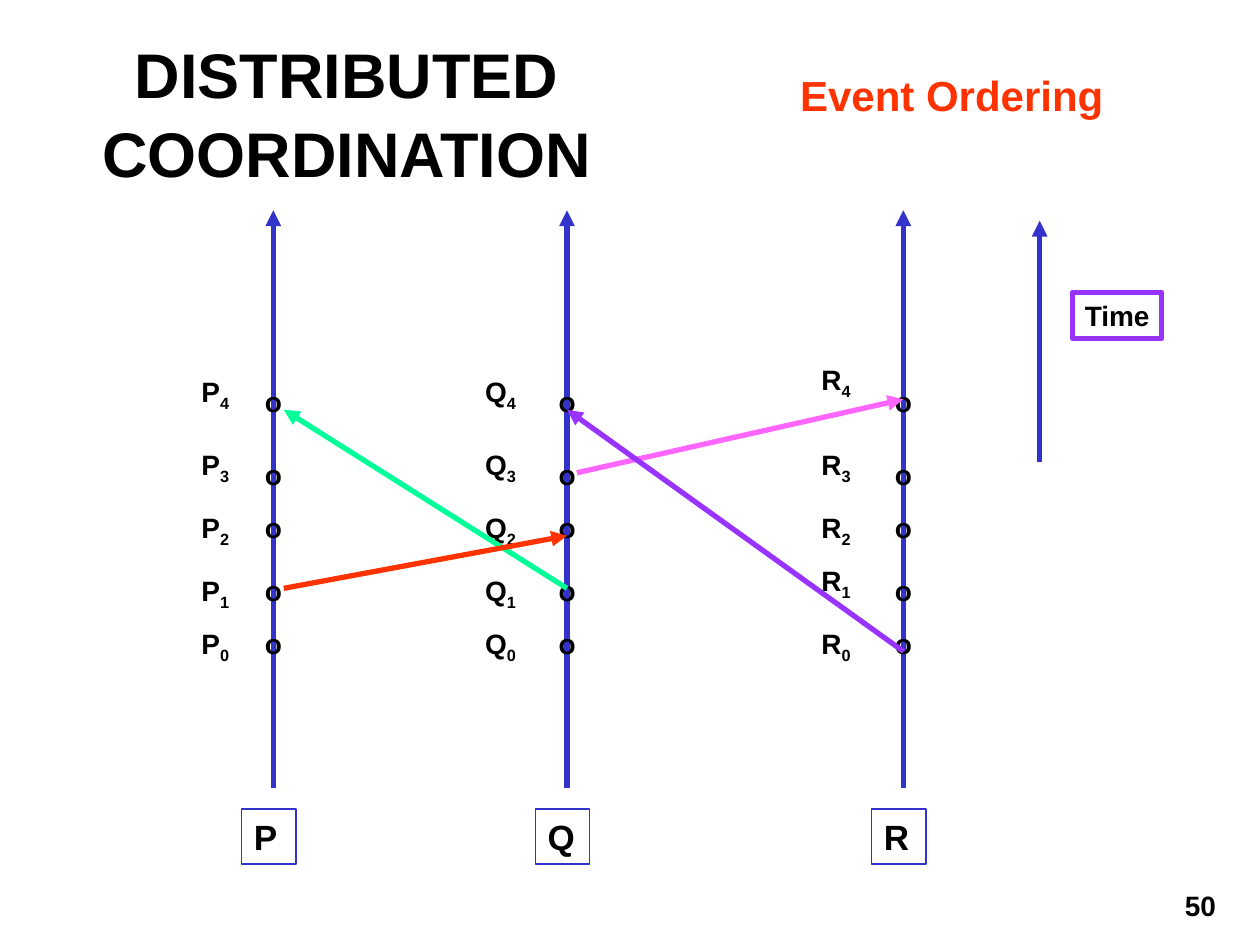
from lxml import etree
from pptx import Presentation
from pptx.dml.color import RGBColor
from pptx.enum.shapes import MSO_CONNECTOR, MSO_SHAPE
from pptx.enum.text import MSO_ANCHOR, MSO_AUTO_SIZE, PP_ALIGN
from pptx.oxml.ns import qn
from pptx.util import Cm, Pt

STRAIGHT = MSO_CONNECTOR.STRAIGHT
RECTANGLE = MSO_SHAPE.RECTANGLE
TOP, MIDDLE = MSO_ANCHOR.TOP, MSO_ANCHOR.MIDDLE
NO_FIT = MSO_AUTO_SIZE.NONE
LEFT, CENTER, RIGHT = PP_ALIGN.LEFT, PP_ALIGN.CENTER, PP_ALIGN.RIGHT

BLACK = RGBColor(0x00, 0x00, 0x00)
BLUE = RGBColor(0x33, 0x33, 0xCC)
RED = RGBColor(0xFF, 0x33, 0x00)
GREEN = RGBColor(0x00, 0xFF, 0x99)
PINK = RGBColor(0xFF, 0x66, 0xFF)
PURPLE = RGBColor(0x99, 0x33, 0xFF)

FONT = "Arial"
AXIS_TOP, AXIS_BOTTOM = 4.24, 15.88
EVENT_TOPS = [12.5, 11.43, 10.16, 9.09, 7.62]
PROCESSES = [
    ("P", 5.51, 3.81, 1.09, [12.5, 11.43, 10.16, 8.89, 7.42]),
    ("Q", 11.43, 9.53, 1.34, [12.5, 11.43, 10.16, 8.89, 7.42]),
    ("R", 18.21, 16.31, 1.34, [12.5, 11.23, 10.16, 8.89, 7.19]),
]
MESSAGES = [
    ((11.43, 11.86), (5.72, 8.26), GREEN),
    ((5.72, 11.86), (11.43, 10.8), RED),
    ((11.63, 9.53), (18.21, 8.05), PINK),
    ((18.21, 13.13), (11.43, 8.26), PURPLE),
]


def format_run(run, size, color=BLACK):
    run.font.name = FONT
    run.font.size = Pt(size)
    run.font.bold = True
    run.font.color.rgb = color


def fill_text(shape, text, size, color=BLACK, align=LEFT, wrap=False):
    frame = shape.text_frame
    frame.text = text
    frame.word_wrap = wrap
    frame.vertical_anchor = TOP
    para = frame.paragraphs[0]
    para.alignment = align
    format_run(para.runs[0], size, color)
    return para


def add_text(slide, place, text, size, **style):
    box = slide.shapes.add_textbox(*map(Cm, place))
    return fill_text(box, text, size, **style)


def add_title(slide, text):
    title = slide.shapes.title
    title.left, title.top = Cm(0.64), Cm(0.64)
    title.width, title.height = Cm(12.7), Cm(3.18)
    para = fill_text(title, text, 36, align=CENTER, wrap=True)
    para.line_spacing = 1.05
    title.text_frame.vertical_anchor = MIDDLE
    title.text_frame.auto_size = NO_FIT


def add_event_label(slide, place, letter, number):
    para = add_text(slide, place, letter, 16, wrap=True)
    index = para.add_run()
    index.text = str(number)
    format_run(index, 16)
    index.font._element.set("baseline", "-25000")


def add_framed_text(slide, place, text, size, line_color, line_width):
    frame = slide.shapes.add_shape(RECTANGLE, *map(Cm, place))
    frame.shadow.inherit = False
    frame.fill.background()
    frame.line.color.rgb = line_color
    frame.line.width = Pt(line_width)
    fill_text(frame, text, size)


def add_arrow(slide, start, end, color):
    arrow = slide.shapes.add_connector(STRAIGHT, *map(Cm, start + end))
    arrow.line.color.rgb = color
    arrow.line.width = Pt(3)
    line = arrow.line._get_or_add_ln()
    etree.SubElement(line, qn("a:tailEnd"), type="triangle")
    etree.SubElement(arrow._element.spPr, qn("a:effectLst"))


def add_process(slide, name, axis, label_left, label_width, label_tops):
    add_arrow(slide, (axis, AXIS_BOTTOM), (axis, AXIS_TOP), BLUE)
    add_framed_text(slide, (axis - 0.64, 16.31, 1.1, 1.11), name, 20, BLUE, 0.75)
    for number, (event_top, label_top) in enumerate(zip(EVENT_TOPS, label_tops)):
        label_place = (label_left, label_top, label_width, 1.04)
        add_event_label(slide, label_place, name, number)
        add_text(slide, (axis - 0.42, event_top, 0.84, 0.94), "o", 16)


def main():
    deck = Presentation()
    deck.slide_width, deck.slide_height = Cm(25.4), Cm(19.05)
    slide = deck.slides.add_slide(deck.slide_layouts[5])
    add_title(slide, "DISTRIBUTED COORDINATION")
    add_text(slide, (15.88, 1.27, 6.63, 1.27), "Event Ordering", 24, color=RED)
    for process in PROCESSES:
        add_process(slide, *process)
    for start, end, color in MESSAGES:
        add_arrow(slide, start, end, color)
    add_arrow(slide, (20.96, 9.32), (20.96, 4.45), BLUE)
    add_framed_text(slide, (21.62, 5.89, 1.8, 0.94), "Time", 16, PURPLE, 3)
    add_text(slide, (19.48, 17.78, 5.28, 0.84), "50", 16, align=RIGHT, wrap=True)
    deck.save("out.pptx")


if __name__ == "__main__":
    main()
